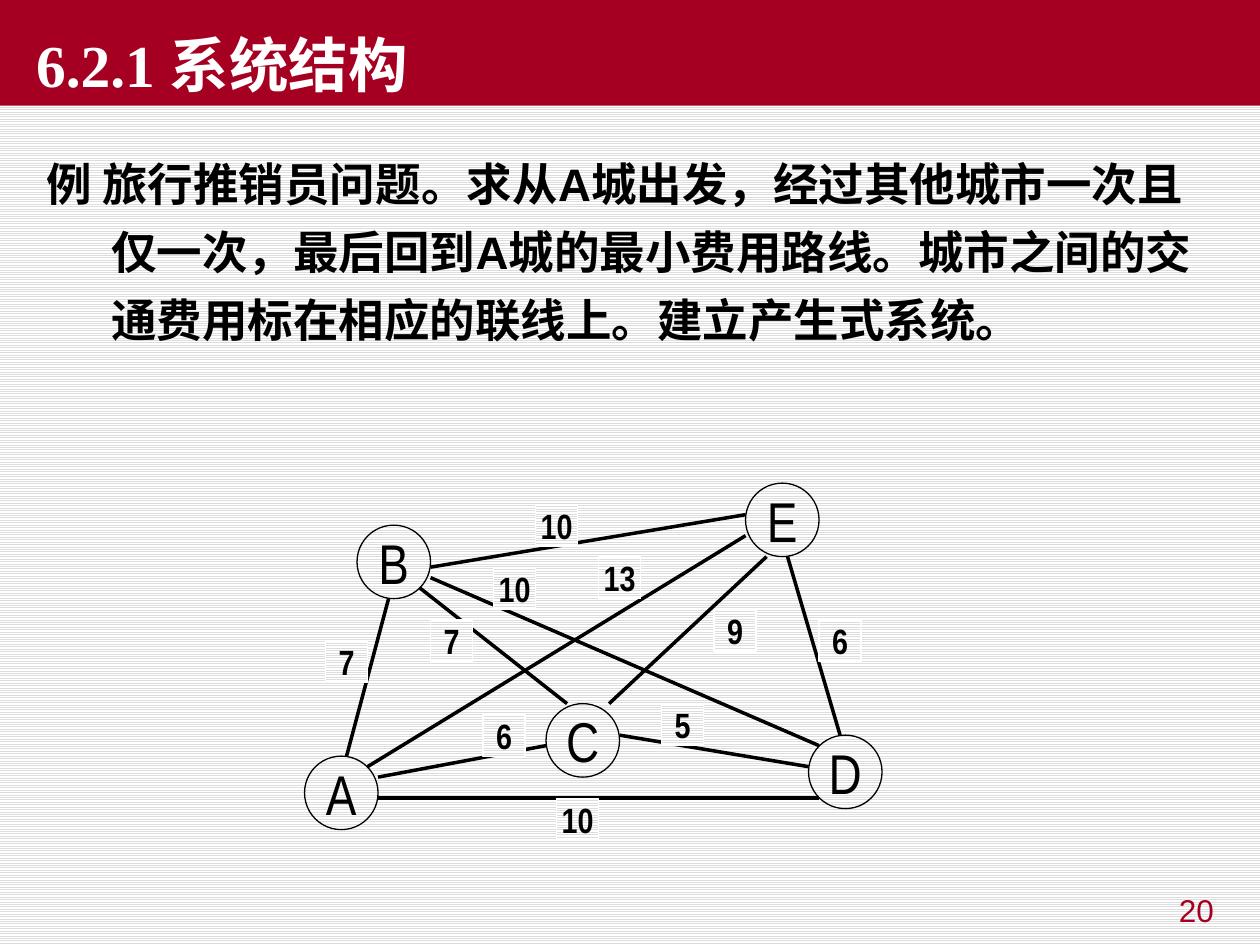
from lxml.etree import SubElement
from pptx import Presentation
from pptx.dml.color import RGBColor
from pptx.enum.dml import MSO_PATTERN as Pattern
from pptx.enum.shapes import MSO_CONNECTOR as Connector, MSO_SHAPE as Shape
from pptx.enum.text import MSO_ANCHOR as Anchor, PP_ALIGN as Align
from pptx.oxml.ns import qn
from pptx.util import Cm, Pt

COLORS = {name: RGBColor.from_string(value) for name, value in {
    "crimson": "A50021", "white": "FFFFFF", "black": "000000", "stripe": "DDDDDD",
}.items()}

GRID = Cm(2.54 / 12)
CITY_SIZE = 7
COST_SIZE = 4
CITIES = {"B": (5, 4), "C": (23, 21), "A": (0, 26), "D": (48, 24), "E": (42, 0)}
ROUTES = [
    ((12, 8), (42, 3), 10, (22, 2)),
    ((12, 9), (49, 25), 10, (18, 8)),
    ((42, 5), (6, 27), 13, (28, 7)),
    ((8, 11), (4, 26), 7, (2, 15)),
    ((7, 30), (49, 30), 10, (24, 30)),
    ((7, 28), (23, 25), 6, (17, 22)),
    ((30, 24), (48, 27), 5, (34, 21)),
    ((46, 7), (51, 24), 6, (49, 13)),
    ((44, 7), (29, 21), 9, (39, 12)),
    ((11, 10), (25, 21), 7, (12, 13)),
]


def fill_stripes(fill):
    fill.patterned()
    fill.pattern = Pattern.LIGHT_HORIZONTAL
    fill.fore_color.rgb = COLORS["stripe"]
    fill.back_color.rgb = COLORS["white"]


def write(shape, text, font, size, color, bold=False, align=Align.LEFT,
          anchor=Anchor.TOP, wrap=True, margin=0, indent=0):
    frame = shape.text_frame
    frame.word_wrap = wrap
    frame.vertical_anchor = anchor
    para = frame.paragraphs[0]
    para.text = text
    para.alignment = align
    properties = para._p.get_or_add_pPr()
    properties.set("marL", str(margin))
    properties.set("indent", str(indent))
    para.font.name = font
    para.font.size = Pt(size)
    para.font.bold = bold
    para.font.color.rgb = COLORS[color]
    return para


def add_title(page, left, top, width, height):
    bar = page.shapes.add_shape(Shape.RECTANGLE, left, top, width, height)
    bar.shadow.inherit = False
    bar.fill.solid()
    bar.fill.fore_color.rgb = COLORS["crimson"]
    bar.line.fill.background()
    write(bar, "6.2.1 系统结构", "Times New Roman", 34, "white", bold=True,
          anchor=Anchor.BOTTOM, indent=Cm(0.48))


def add_problem(page, left, top, width, height):
    box = page.shapes.add_textbox(left, top, width, height)
    para = write(
        box,
        "例 旅行推销员问题。求从A城出发，经过其他城市一次且仅一次，最后回到A城的最小费用路线。"
        "城市之间的交通费用标在相应的联线上。建立产生式系统。",
        "Arial", 26, "black", bold=True, margin=Cm(1.3), indent=-Cm(1.3))
    para.line_spacing = 1.25


def add_page_number(page, left, top, width, height):
    box = page.shapes.add_textbox(left, top, width, height)
    write(box, "20", "Arial", 18, "crimson", align=Align.RIGHT)


def add_city_map(page, left, top):
    def place(point):
        return left + point[0] * GRID, top + point[1] * GRID

    def add_mark(kind, point, size, outline, text, font_size, bold):
        mark = page.shapes.add_shape(kind, *place(point), size * GRID, size * GRID)
        mark.shadow.inherit = False
        mark.fill.background()
        mark.line.color.rgb = COLORS[outline]
        mark.line.width = Pt(0.75)
        write(mark, text, "Arial Narrow", font_size, "black", bold=bold,
              align=Align.CENTER, anchor=Anchor.MIDDLE, wrap=False)
        return mark

    for city, point in CITIES.items():
        add_mark(Shape.OVAL, point, CITY_SIZE, "black", city, 32, False)
    for start, end, _, _ in ROUTES:
        route = page.shapes.add_connector(Connector.STRAIGHT, *place(start), *place(end))
        route.line.color.rgb = COLORS["black"]
        route.line.width = Pt(2)
        SubElement(route._element.spPr, qn("a:effectLst"))
    for _, _, cost, point in ROUTES:
        label = add_mark(Shape.RECTANGLE, point, COST_SIZE, "white", str(cost), 20, True)
        fill_stripes(label.fill)


def main():
    deck = Presentation()
    deck.slide_width = Cm(25.4)
    deck.slide_height = Cm(19.05)
    page = deck.slides.add_slide(deck.slide_layouts[6])
    fill_stripes(page.background.fill)
    add_page_number(page, Cm(18.8), Cm(17.83), Cm(5.92), Cm(1.32))
    add_problem(page, Cm(0.69), Cm(2.74), Cm(24), Cm(4.88))
    add_city_map(page, Cm(6.14), Cm(9.74))
    add_title(page, 0, 0, deck.slide_width, Cm(2.13))
    deck.save("out.pptx")


if __name__ == "__main__":
    main()
